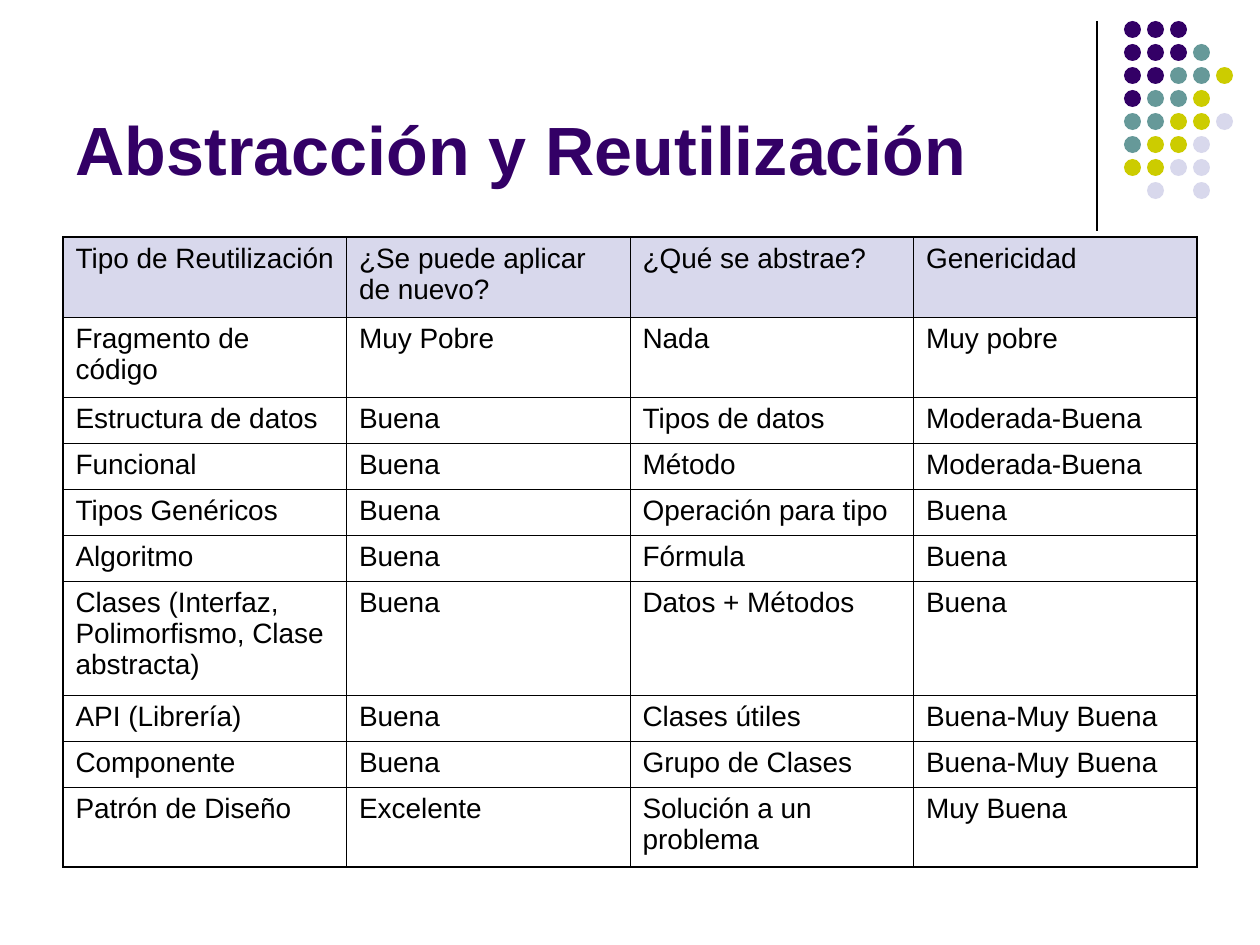
"""Build the slide on abstraction and kinds of software reuse."""
import pptx
import pptx.dml.color
import pptx.enum.shapes
import pptx.enum.text
import pptx.oxml.ns
import pptx.util
from lxml import etree

RGBColor = pptx.dml.color.RGBColor
PURPLE = RGBColor(0x33, 0x00, 0x66)
TEAL = RGBColor(0x66, 0x99, 0x99)
LIME = RGBColor(0xCC, 0xCC, 0x00)
LAVENDER = RGBColor(0xD8, 0xD8, 0xEC)
BLACK = RGBColor(0x00, 0x00, 0x00)

PX_PER_INCH = 126
FONT = "Arial"
INNER_BORDER, OUTER_BORDER = 0.45, 1.08

DOT_COLOURS = {"P": PURPLE, "T": TEAL, "L": LIME, "V": LAVENDER}
DOT_ROWS = ["PPP", "PPPT", "PPTTL", "PTTL", "TTLLV", "TLLV", "LLVV", ".V.V"]
DOT_LEFT, DOT_TOP, DOT_SIZE, DOT_PITCH = 1124, 21, 17, 23

TABLE_LEFT, TABLE_TOP, TABLE_WIDTH = 63, 237, 1134
ROW_HEIGHTS = [80, 80, 46, 46, 46, 46, 114, 46, 46, 80]
REUSE_ROWS = [
    ["Tipo de Reutilización", "¿Se puede aplicar de nuevo?", "¿Qué se abstrae?", "Genericidad"],
    ["Fragmento de código", "Muy Pobre", "Nada", "Muy pobre"],
    ["Estructura de datos", "Buena", "Tipos de datos", "Moderada-Buena"],
    ["Funcional", "Buena", "Método", "Moderada-Buena"],
    ["Tipos Genéricos", "Buena", "Operación para tipo", "Buena"],
    ["Algoritmo", "Buena", "Fórmula", "Buena"],
    ["Clases (Interfaz, Polimorfismo, Clase abstracta)", "Buena", "Datos + Métodos", "Buena"],
    ["API (Librería)", "Buena", "Clases útiles", "Buena-Muy Buena"],
    ["Componente", "Buena", "Grupo de Clases", "Buena-Muy Buena"],
    ["Patrón de Diseño", "Excelente", "Solución a un problema", "Muy Buena"],
]


def px(length):
    return pptx.util.Emu(round(length * 914400 / PX_PER_INCH))


def write_text(frame, text, size, colour=BLACK, bold=False, space_before=0):
    para = frame.paragraphs[0]
    para.alignment = pptx.enum.text.PP_ALIGN.LEFT
    para.space_before = pptx.util.Pt(space_before)
    span = para.add_run()
    span.text = text
    span.font.name = FONT
    span.font.size = pptx.util.Pt(size)
    span.font.bold = bold
    span.font.color.rgb = colour


def set_title(page, text):
    title = page.shapes.title
    title.left, title.top, title.width, title.height = map(px, (63, 16, 1040, 179))
    frame = title.text_frame
    frame.word_wrap = True
    frame.auto_size = pptx.enum.text.MSO_AUTO_SIZE.NONE
    frame.vertical_anchor = pptx.enum.text.MSO_ANCHOR.BOTTOM
    write_text(frame, text, size=39, colour=PURPLE, bold=True)


def add_rule(page, x, top, bottom):
    rule = page.shapes.add_connector(
        pptx.enum.shapes.MSO_CONNECTOR.STRAIGHT, px(x), px(top), px(x), px(bottom))
    rule.line.color.rgb = BLACK
    rule.line.width = pptx.util.Pt(0.75)
    etree.SubElement(rule._element.spPr, pptx.oxml.ns.qn("a:effectLst"))


def add_dots(page):
    for row, codes in enumerate(DOT_ROWS):
        for column, code in enumerate(codes):
            if code not in DOT_COLOURS:
                continue
            dot = page.shapes.add_shape(
                pptx.enum.shapes.MSO_SHAPE.OVAL,
                px(DOT_LEFT + column * DOT_PITCH), px(DOT_TOP + row * DOT_PITCH),
                px(DOT_SIZE), px(DOT_SIZE))
            dot.shadow.inherit = False
            dot.fill.solid()
            dot.fill.fore_color.rgb = DOT_COLOURS[code]
            dot.line.fill.background()


def set_borders(cell, outer_sides):
    qn = pptx.oxml.ns.qn
    properties = cell._tc.get_or_add_tcPr()
    for side, is_outer in outer_sides.items():
        width = OUTER_BORDER if is_outer else INNER_BORDER
        border = etree.SubElement(properties, qn(f"a:ln{side}"), w=str(pptx.util.Pt(width)))
        fill = etree.SubElement(border, qn("a:solidFill"))
        etree.SubElement(fill, qn("a:srgbClr"), val=str(BLACK))


def add_reuse_table(page):
    last_row, last_column = len(REUSE_ROWS) - 1, len(REUSE_ROWS[0]) - 1
    table = page.shapes.add_table(
        last_row + 1, last_column + 1, px(TABLE_LEFT), px(TABLE_TOP),
        px(TABLE_WIDTH), px(sum(ROW_HEIGHTS))).table
    table.first_row = table.horz_banding = False
    for row, texts in enumerate(REUSE_ROWS):
        table.rows[row].height = px(ROW_HEIGHTS[row])
        for column, text in enumerate(texts):
            cell = table.cell(row, column)
            write_text(cell.text_frame, text, size=16, space_before=4)
            set_borders(cell, {"L": column == 0, "R": column == last_column,
                               "T": row == 0, "B": row == last_row})
            if row == 0:
                cell.fill.solid()
                cell.fill.fore_color.rgb = LAVENDER
            else:
                cell.fill.background()


def main():
    deck = pptx.Presentation()
    deck.slide_width, deck.slide_height = px(1260), px(945)
    page = deck.slides.add_slide(deck.slide_layouts[5])
    add_rule(page, x=1097, top=21, bottom=231)
    add_dots(page)
    set_title(page, "Abstracción y Reutilización")
    add_reuse_table(page)
    deck.save("out.pptx")


if __name__ == "__main__":
    main()
